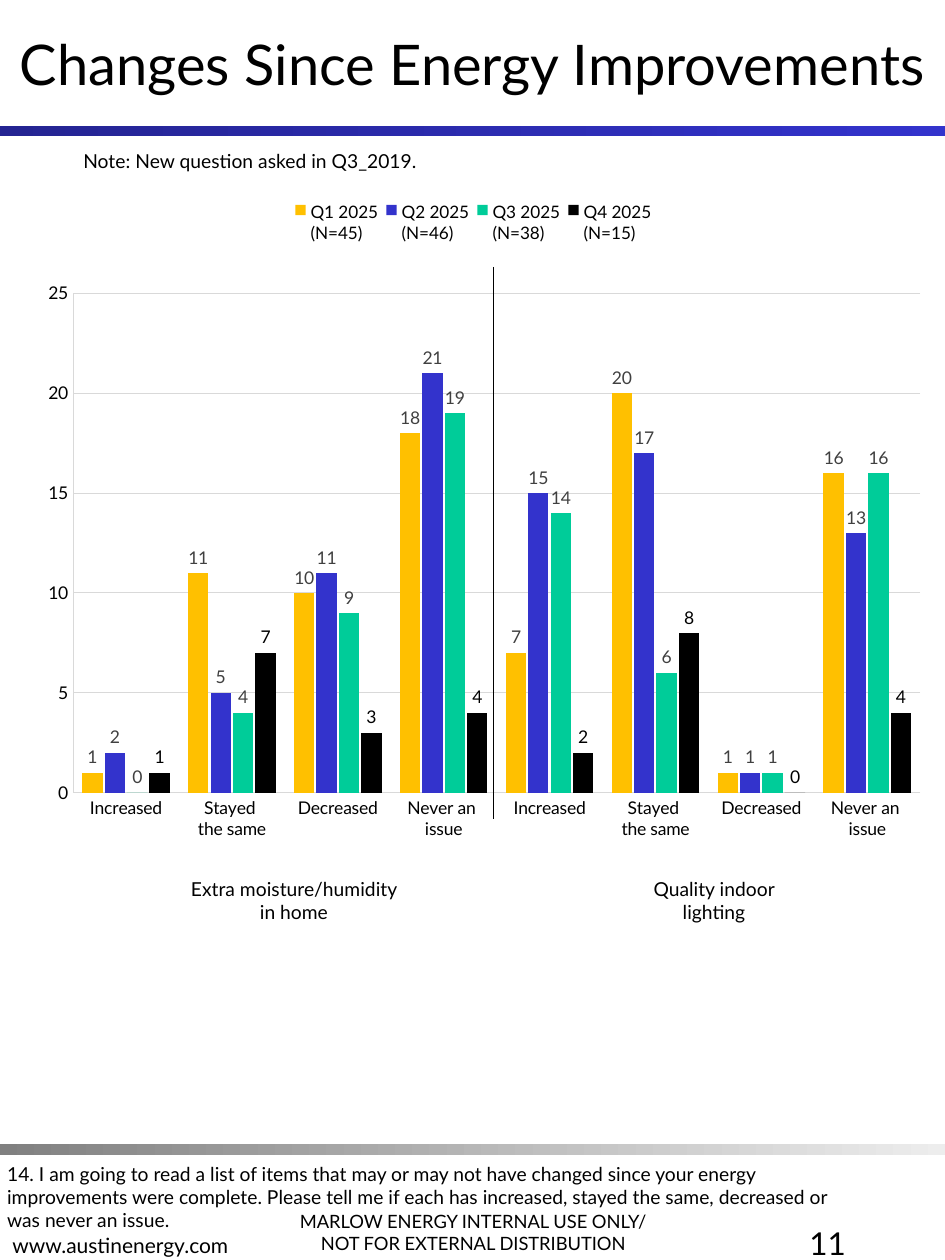
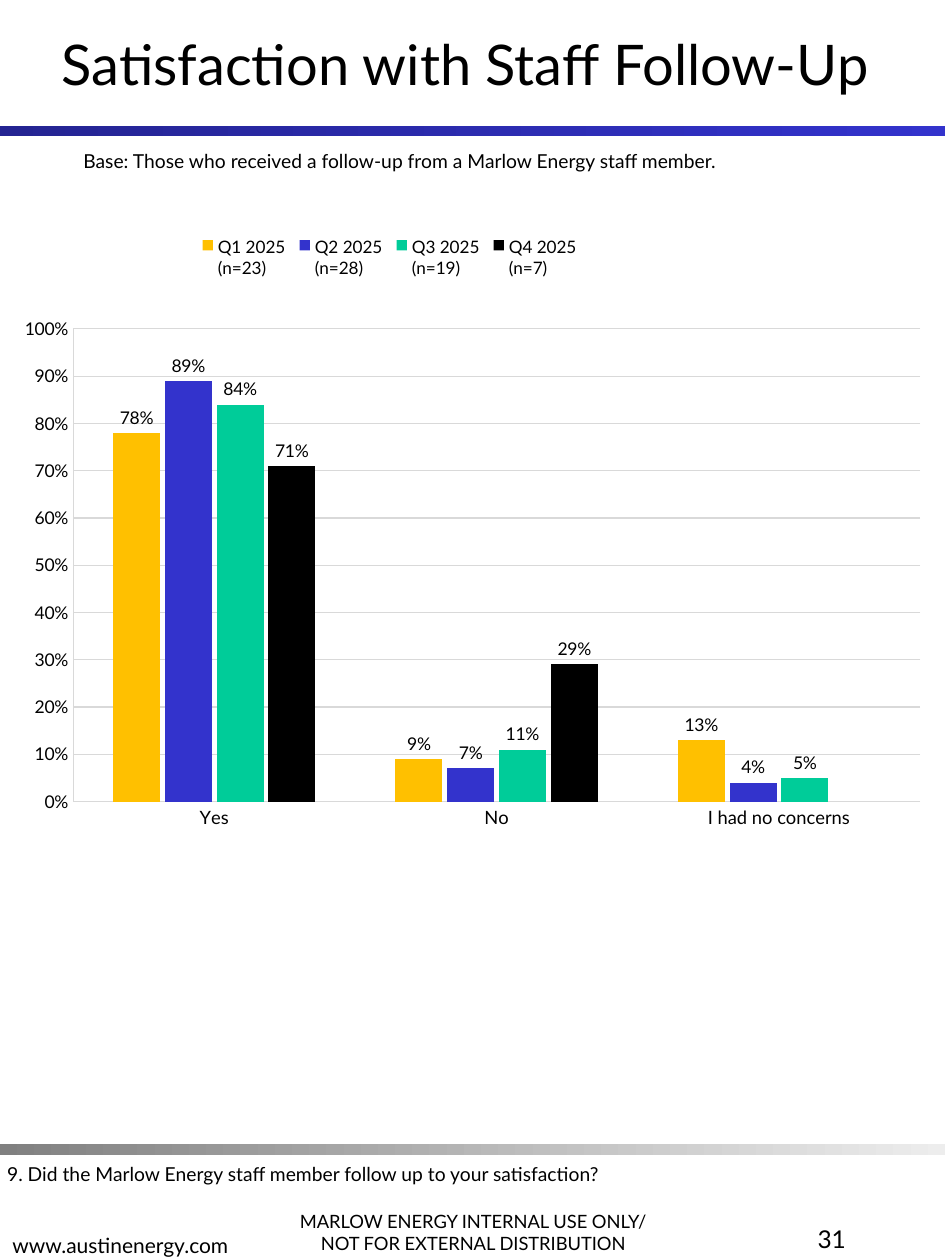
from dataclasses import dataclass
from typing import Optional

from lxml import etree
from pptx import Presentation
from pptx import util as u
from pptx.chart import data as cd
from pptx.dml.color import RGBColor
from pptx.enum import chart as ce, shapes, text
from pptx.oxml.ns import qn

Pt = u.Pt
FONT = "Lato"
BLACK = RGBColor(0x00, 0x00, 0x00)
GRAY = RGBColor(0x40, 0x40, 0x40)
RULE = RGBColor(0xD9, 0xD9, 0xD9)
NAVY = RGBColor(0x24, 0x24, 0x92)
BLUE = RGBColor(0x33, 0x33, 0xCC)
STEEL = RGBColor(0x80, 0x80, 0x80)
PALE = RGBColor(0xED, 0xED, 0xED)
GOLD = RGBColor(0xFF, 0xC0, 0x00)
TEAL = RGBColor(0x00, 0xCC, 0x99)
LEFT, MID, RIGHT = text.PP_ALIGN.LEFT, text.PP_ALIGN.CENTER, text.PP_ALIGN.RIGHT
TOP, CENTER, BASE = (text.MSO_ANCHOR.TOP, text.MSO_ANCHOR.MIDDLE,
                     text.MSO_ANCHOR.BOTTOM)
WIDE, TALL = 540, 720


@dataclass
class Box:
    left: float
    top: float
    width: float
    height: float


@dataclass
class Label:
    box: Box
    lines: list[str]
    size: float = 11
    align: text.PP_ALIGN = LEFT
    anchor: text.MSO_ANCHOR = TOP
    wrap: bool = True


@dataclass
class Band:
    top: float
    start: RGBColor
    end: RGBColor


@dataclass
class Row:
    name: str
    vals: list[Optional[float]]
    fill: RGBColor
    ink: RGBColor = BLACK


@dataclass
class Graph:
    box: Box
    cats: list[str]
    rows: list[Row]
    gap: int
    peak: float
    step: float
    form: str
    size: float
    plot: Box
    key: Box


BANDS = [Band(72, NAVY, BLUE), Band(654, STEEL, PALE)]
FOOT = [
    Label(Box(155.5, 672, 230, 48),
          ["MARLOW ENERGY INTERNAL USE ONLY/", "NOT FOR EXTERNAL DISTRIBUTION"],
          10.5, MID, BASE),
    Label(Box(0, 674, 230, 48), ["www.austinenergy.com"], 12, LEFT, BASE),
]


def draw_band(slide, band: Band) -> None:
    bar = slide.shapes.add_shape(shapes.MSO_SHAPE.RECTANGLE,
                                 0, Pt(band.top), Pt(WIDE), Pt(6))
    bar.shadow.inherit = False
    bar.line.fill.background()
    bar.fill.gradient()
    bar.fill.gradient_angle = 0
    for stop, color in zip(bar.fill.gradient_stops, (band.start, band.end)):
        stop.color.rgb = color


def style(font, size: float, color: RGBColor = BLACK) -> None:
    font.name = FONT
    font.size = Pt(size)
    font.color.rgb = color


def draw_text(slide, label: Label) -> None:
    box = label.box
    frame = slide.shapes.add_textbox(Pt(box.left), Pt(box.top), Pt(box.width),
                                     Pt(box.height)).text_frame
    frame.word_wrap = label.wrap
    frame.vertical_anchor = label.anchor
    for i, line in enumerate(label.lines):
        para = frame.add_paragraph() if i else frame.paragraphs[0]
        para.alignment = label.align
        run = para.add_run()
        run.text = line
        style(run.font, label.size)


def place(node, spot: Box, index: int, inner: bool = False) -> None:
    for old in node.findall(qn("c:layout")):
        node.remove(old)
    outer = etree.Element(qn("c:layout"))
    node.insert(index, outer)
    layout = etree.SubElement(outer, qn("c:manualLayout"))
    pairs = [("layoutTarget", "inner")] if inner else []
    pairs += [("xMode", "edge"), ("yMode", "edge"), ("x", spot.left),
              ("y", spot.top), ("w", spot.width), ("h", spot.height)]
    for tag, val in pairs:
        etree.SubElement(layout, qn(f"c:{tag}")).set("val", str(val))


def draw_axis(axis, size: float, width: float) -> None:
    axis.major_tick_mark = axis.minor_tick_mark = ce.XL_TICK_MARK.NONE
    axis.format.line.color.rgb = RULE
    axis.format.line.width = Pt(width)
    style(axis.tick_labels.font, size)


def draw_graph(slide, graph: Graph) -> None:
    data = cd.CategoryChartData(number_format=graph.form)
    data.categories = graph.cats
    for row in graph.rows:
        data.add_series(row.name, row.vals)
    box = graph.box
    chart = slide.shapes.add_chart(
        ce.XL_CHART_TYPE.COLUMN_CLUSTERED, Pt(box.left), Pt(box.top),
        Pt(box.width), Pt(box.height), data).chart
    style(chart.font, 10)
    chart.has_title = False
    chart.has_legend = True
    chart.legend.position = ce.XL_LEGEND_POSITION.TOP
    chart.legend.include_in_layout = False
    style(chart.legend.font, 9.8)
    place(chart.legend._element, graph.key, 1)
    place(chart._chartSpace.chart.plotArea, graph.plot, 0, True)

    draw_axis(chart.category_axis, graph.size, 0.62)
    scale = chart.value_axis
    draw_axis(scale, 10, 0.41)
    scale.minimum_scale, scale.maximum_scale = 0, graph.peak
    scale.major_unit = graph.step
    scale.tick_labels.number_format = graph.form
    scale.tick_labels.number_format_is_linked = False
    scale.has_major_gridlines = True
    scale.major_gridlines.format.line.color.rgb = RULE
    scale.major_gridlines.format.line.width = Pt(0.62)

    plot = chart.plots[0]
    plot.gap_width, plot.overlap = graph.gap, -10
    plot.vary_by_categories = False
    for row, series in zip(graph.rows, plot.series):
        series.format.fill.solid()
        series.format.fill.fore_color.rgb = row.fill
        series.invert_if_negative = False
        marks = series.data_labels
        marks.show_value = True
        marks.position = ce.XL_LABEL_POSITION.OUTSIDE_END
        marks.number_format = graph.form
        marks.number_format_is_linked = False
        style(marks.font, 10, row.ink)


def draw_split(slide, left: float, top: float, end: float) -> None:
    line = slide.shapes.add_connector(shapes.MSO_CONNECTOR.STRAIGHT,
                                      Pt(left), Pt(top), Pt(left), Pt(end))
    line.line.color.rgb = BLACK
    line.line.width = Pt(0.25)
    etree.SubElement(line._element.spPr, qn("a:effectLst"))


def add_page(deck, title: str, page: Label, note: str, ask: str, graph: Graph):
    slide = deck.slides.add_slide(deck.slide_layouts[6])
    for band in BANDS:
        draw_band(slide, band)
    head = Label(Box(0, 0, WIDE, 72), [title], 32, MID, CENTER)
    base = Label(Box(40.5, 81.5, 464, 21), [note])
    query = Label(Box(-3, 660.5, 493, 21), [ask])
    for label in [*FOOT, head, page, base, query]:
        draw_text(slide, label)
    draw_graph(slide, graph)
    return slide


def page_mark(number: str, size: float) -> Label:
    return Label(Box(378, 696, 112.5, 48), [number], size, RIGHT)


def main() -> None:
    deck = Presentation()
    deck.slide_width, deck.slide_height = Pt(WIDE), Pt(TALL)

    change = Graph(
        Box(4.5, 108, 532, 426),
        ["Increased", "Stayed \nthe same", "Decreased", "Never an \nissue"] * 2,
        [Row("Q1 2025\n(N=45)", [1, 11, 10, 18, 7, 20, 1, 16], GOLD, GRAY),
         Row("Q2 2025\n(N=46)", [2, 5, 11, 21, 15, 17, 1, 13], BLUE, GRAY),
         Row("Q3 2025\n(N=38)", [0, 4, 9, 19, 14, 6, 1, 16], TEAL, GRAY),
         Row("Q4 2025\n(N=15)", [1, 7, 3, 4, 2, 8, 0, 4], BLACK)],
        90, 25, 5, "0", 10,
        Box(0.07, 0.14, 0.91, 0.67), Box(0.3, 0.01, 0.4, 0.07))
    slide = add_page(
        deck, "Changes Since Energy Improvements", page_mark("11", 18),
        "Note: New question asked in Q3_2019.",
        "14. I am going to read a list of items that may or may not have "
        "changed since your energy improvements were complete. Please tell me "
        "if each has increased, stayed the same, decreased or was never an "
        "issue.", change)
    for left, width, lines in [
            (102, 132, ["Extra moisture/humidity ", "in home"]),
            (348, 120, ["Quality indoor lighting"])]:
        draw_text(slide, Label(Box(left, 497.5, width, 32), lines,
                               align=MID, wrap=False))
    draw_split(slide, 282, 152.5, 468)

    follow = Graph(
        Box(4.5, 114, 532, 370), ["Yes", "No", "I had no concerns"],
        [Row("Q1 2025\n(n=23)", [0.78, 0.09, 0.13], GOLD),
         Row("Q2 2025\n(n=28)", [0.89, 0.07, 0.04], BLUE),
         Row("Q3 2025\n(n=19)", [0.84, 0.11, 0.05], TEAL),
         Row("Q4 2025\n(n=7)", [0.71, 0.29, None], BLACK)],
        170, 1, 0.1, "0%", 10.5,
        Box(0.07, 0.2, 0.91, 0.73), Box(0.2, 0.05, 0.42, 0.08))
    add_page(
        deck, "Satisfaction with Staff Follow-Up ", page_mark("31", 14),
        "Base: Those who received a follow-up from a Marlow Energy staff member.",
        "9. Did the Marlow Energy staff member follow up to your satisfaction?",
        follow)
    deck.save("out.pptx")


if __name__ == "__main__":
    main()
